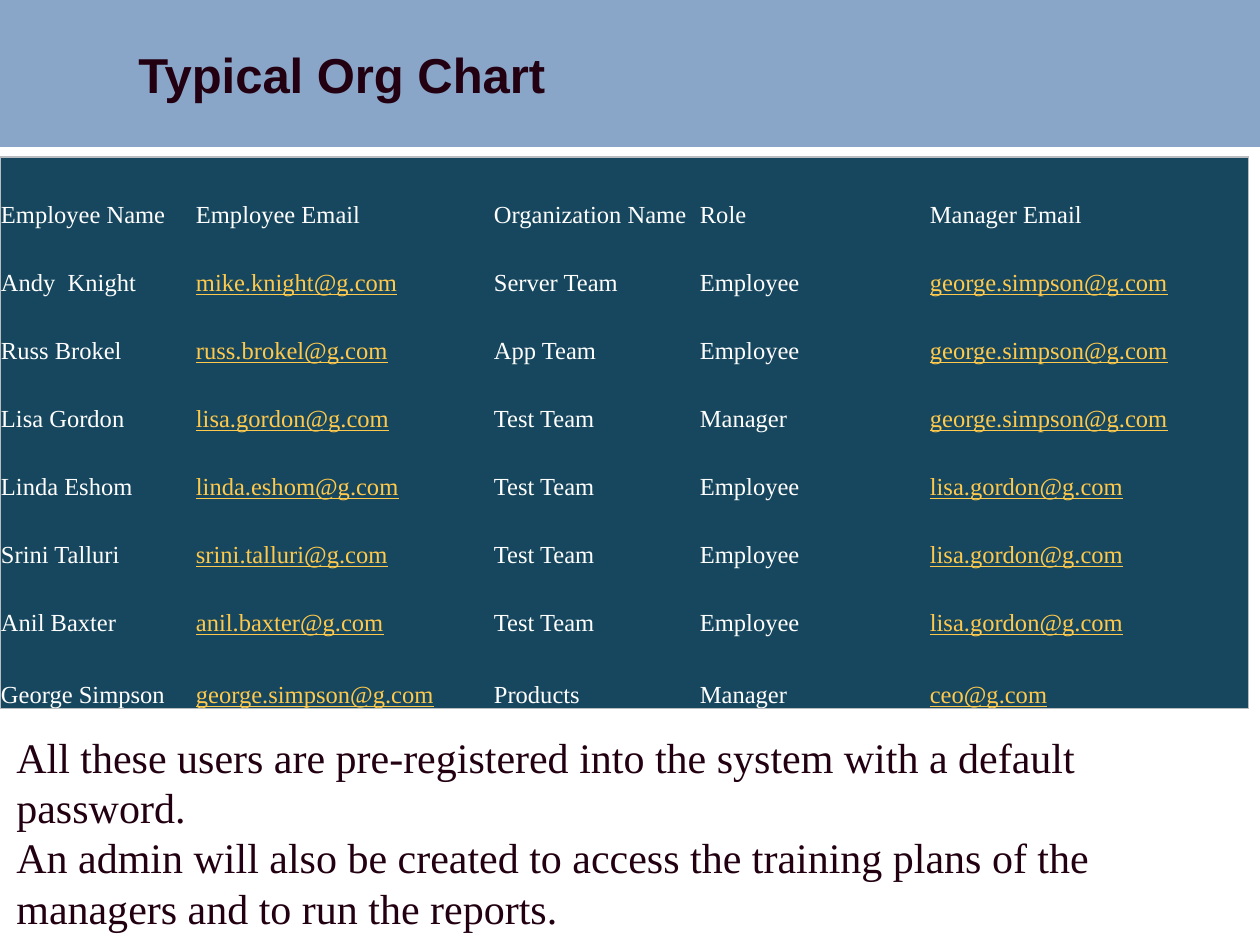
from lxml import etree
from pptx import Presentation
from pptx.dml.color import RGBColor
from pptx.enum.shapes import MSO_SHAPE
from pptx.enum.text import MSO_ANCHOR
from pptx.oxml.ns import qn
from pptx.util import Emu, Pt

RECT = MSO_SHAPE.RECTANGLE
TOP, MIDDLE, BOTTOM = MSO_ANCHOR.TOP, MSO_ANCHOR.MIDDLE, MSO_ANCHOR.BOTTOM

PX = 914400 / 126
COLORS = {
    "band": "89A5C7",
    "ink": "220011",
    "table": "17475E",
    "border": "B9BDC0",
    "text": "FFFFFF",
    "email": "FFC94C",
}
TITLE = {"name": "Arial", "size": Pt(28), "bold": True}
CELL = {"name": "Times New Roman", "size": Pt(14)}
EMAIL = {**CELL, "underline": True}
NOTE = {"name": "Times New Roman", "size": Pt(24)}


def px(value):
    return Emu(round(value * PX))


def rgb(name):
    return RGBColor.from_string(COLORS[name])


class SlideBuilder:
    def __init__(self, slide):
        self.slide = slide

    def styled_run(self, paragraph, text, style, color):
        run = paragraph.add_run()
        run.text = text
        for key, value in style.items():
            setattr(run.font, key, value)
        run.font.color.rgb = rgb(color)
        return run

    def band(self, left, top, width, height, color):
        band = self.slide.shapes.add_shape(RECT, *map(px, (left, top, width, height)))
        band.shadow.inherit = False
        band.fill.solid()
        band.fill.fore_color.rgb = rgb(color)
        band.line.fill.background()

    def text(self, left, top, width, height, lines, style, anchor=TOP):
        box = self.slide.shapes.add_textbox(*map(px, (left, top, width, height)))
        frame = box.text_frame
        frame.word_wrap = True
        frame.vertical_anchor = anchor
        runs = []
        for i, line in enumerate(lines):
            paragraph = frame.add_paragraph() if i else frame.paragraphs[0]
            runs.append(self.styled_run(paragraph, line, style, "ink"))
        return runs

    def text_shadow(self, run):
        effects = etree.Element(qn("a:effectLst"))
        shadow = etree.SubElement(effects, qn("a:outerShdw"), dist="17961", dir="2700000")
        etree.SubElement(shadow, qn("a:srgbClr"), val=COLORS["ink"])
        # Effects follow the text fill in run properties
        run._r.get_or_add_rPr().find(qn("a:solidFill")).addnext(effects)

    def cell_borders(self, cell, outer):
        properties = cell._tc.get_or_add_tcPr()
        for i, (side, visible) in enumerate(outer.items()):
            line = etree.Element(qn(f"a:ln{side}"), w="9525" if visible else "0")
            if visible:
                fill = etree.SubElement(line, qn("a:solidFill"))
                etree.SubElement(fill, qn("a:srgbClr"), val=COLORS["border"])
            else:
                etree.SubElement(line, qn("a:noFill"))
            properties.insert(i, line)

    def table(self, left, top, widths, heights, rows):
        table = self.slide.shapes.add_table(
            len(heights), len(widths),
            *map(px, (left, top, sum(widths), sum(heights)))).table
        table.first_row = table.horz_banding = False
        for column, width in zip(table.columns, widths):
            column.width = px(width)
        for row, height in zip(table.rows, heights):
            row.height = px(height)
        last_row, last_column = len(heights) - 1, len(widths) - 1
        layout = {"margin_left": px(1), "margin_right": px(1), "margin_top": px(1),
                  "margin_bottom": 0, "vertical_anchor": BOTTOM}
        for r, values in enumerate(rows):
            for c, value in enumerate(values):
                cell = table.cell(r, c)
                for key, setting in layout.items():
                    setattr(cell, key, setting)
                cell.fill.solid()
                cell.fill.fore_color.rgb = rgb("table")
                style, color = (EMAIL, "email") if "@" in value else (CELL, "text")
                self.styled_run(cell.text_frame.paragraphs[0], value, style, color)
                self.cell_borders(cell, {"L": c == 0, "R": c == last_column,
                                         "T": r == 0, "B": r == last_row})


EMPLOYEES = [
    ("Employee Name", "Employee Email", "Organization Name", "Role", "Manager Email"),
    ("Andy  Knight", "mike.knight@g.com", "Server Team", "Employee", "george.simpson@g.com"),
    ("Russ Brokel", "russ.brokel@g.com", "App Team", "Employee", "george.simpson@g.com"),
    ("Lisa Gordon", "lisa.gordon@g.com", "Test Team", "Manager", "george.simpson@g.com"),
    ("Linda Eshom", "linda.eshom@g.com", "Test Team", "Employee", "lisa.gordon@g.com"),
    ("Srini Talluri", "srini.talluri@g.com", "Test Team", "Employee", "lisa.gordon@g.com"),
    ("Anil Baxter", "anil.baxter@g.com", "Test Team", "Employee", "lisa.gordon@g.com"),
    ("George Simpson", "george.simpson@g.com", "Products", "Manager", "ceo@g.com"),
]
NOTES = [
    "All these users are pre-registered into the system with a default password.",
    "An admin will also be created to access the training plans of the managers "
    "and to run the reports.",
]


def main():
    deck = Presentation()
    deck.slide_width, deck.slide_height = px(1260), px(945)
    builder = SlideBuilder(deck.slides.add_slide(deck.slide_layouts[6]))

    # Title band
    builder.band(0, 0, 1260, 147, "band")
    title, = builder.text(126, 0, 1134, 147, ["Typical Org Chart"], TITLE, MIDDLE)
    builder.text_shadow(title)

    # Employee table
    builder.table(0, 157, [195, 298, 206, 230, 320], [72, *[68] * 6, 72], EMPLOYEES)

    # Notes on registration
    builder.text(4, 725, 1235, 217, NOTES, NOTE)

    deck.save("out.pptx")


if __name__ == "__main__":
    main()
